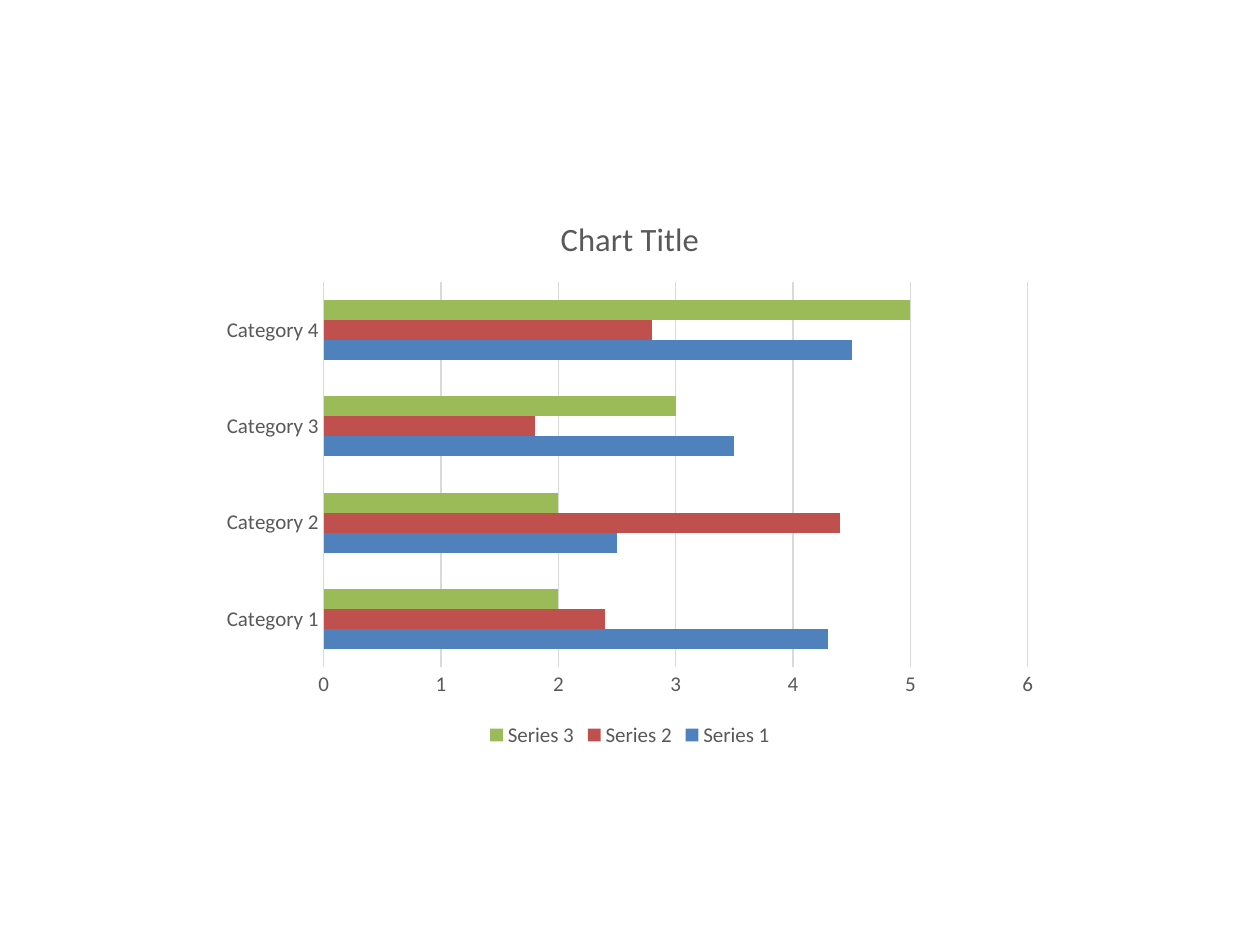
from pptx import Presentation
from pptx.chart import data
from pptx.dml.color import RGBColor
from pptx.enum import chart as ch
from pptx.util import Pt

FONT = "Calibri"
TEXT, RULE = "595959", "D9D9D9"
CATEGORIES = [f"Category {n}" for n in range(1, 5)]
SERIES = [
    ("Series 1", (4.3, 2.5, 3.5, 4.5), "4F81BD"),
    ("Series 2", (2.4, 4.4, 1.8, 2.8), "C0504D"),
    ("Series 3", (2, 2, 3, 5), "9BBB59"),
]


def paint(color_format, value):
    color_format.rgb = RGBColor.from_string(value)


def style_font(font, size):
    font.name = FONT
    font.size = Pt(size)
    font.bold = False
    paint(font.color, TEXT)


def style_rule(line):
    line.width = Pt(0.75)
    paint(line.color, RULE)


def add_title(chart, title):
    chart.has_title = True
    chart.chart_title.include_in_layout = False
    r = chart.chart_title.text_frame.paragraphs[0].add_run()
    r.text = title
    style_font(r.font, 18.6)


def style_axes(chart):
    cat, val = chart.category_axis, chart.value_axis
    for axis in (cat, val):
        axis.major_tick_mark = axis.minor_tick_mark = ch.XL_TICK_MARK.NONE
        style_font(axis.tick_labels.font, 12)
    cat.has_major_gridlines = False
    style_rule(cat.format.line)
    val.minimum_scale, val.maximum_scale, val.major_unit = 0, 6, 1
    val.has_major_gridlines = True
    style_rule(val.major_gridlines.format.line)
    val.format.line.fill.background()


def add_bar_chart(slide, left, top, width, height):
    cd = data.CategoryChartData()
    cd.categories = CATEGORIES
    for name, values, _ in SERIES:
        cd.add_series(name, values)
    chart = slide.shapes.add_chart(
        ch.XL_CHART_TYPE.BAR_CLUSTERED, left, top, width, height, cd).chart
    chart.font.name, chart.font.size = FONT, Pt(10)
    add_title(chart, "Chart Title")
    style_axes(chart)

    plot = chart.plots[0]
    plot.gap_width, plot.overlap, plot.vary_by_categories = 182, 0, False
    for series, (_, _, color) in zip(plot.series, SERIES):
        series.format.fill.solid()
        paint(series.format.fill.fore_color, color)

    chart.has_legend = True
    chart.legend.position = ch.XL_LEGEND_POSITION.BOTTOM
    chart.legend.include_in_layout = False
    style_font(chart.legend.font, 12)


def main():
    prs = Presentation()
    prs.slide_width, prs.slide_height = Pt(720), Pt(540)
    blank_layout = prs.slide_layouts[6]
    s = prs.slides.add_slide(blank_layout)
    add_bar_chart(s, Pt(120), Pt(110), Pt(480), Pt(320))
    prs.save("out.pptx")


if __name__ == "__main__":
    main()
